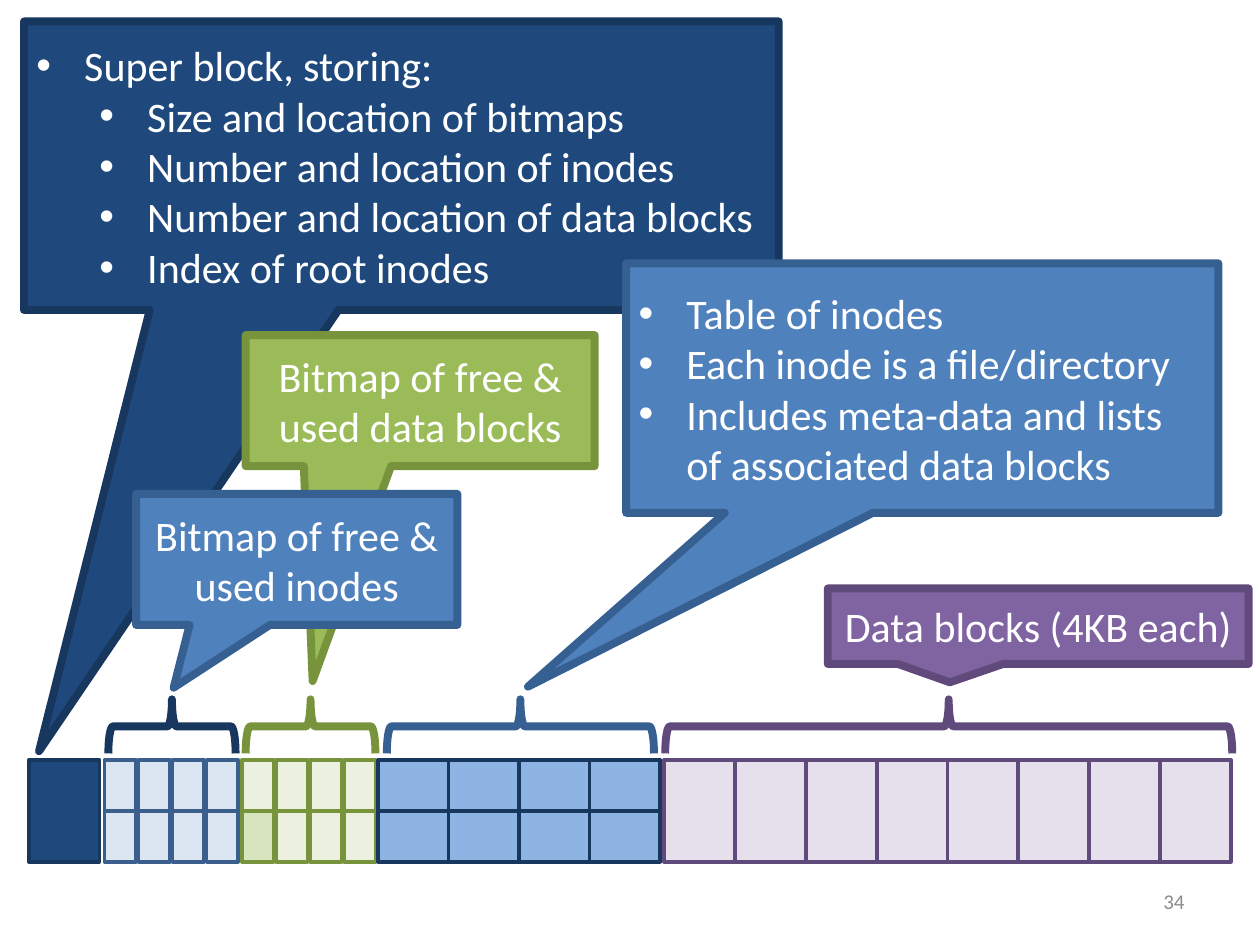
from lxml.etree import SubElement
from pptx import Presentation
from pptx.dml.color import RGBColor
from pptx.enum.shapes import MSO_SHAPE as Shape
from pptx.enum.text import MSO_ANCHOR as Anchor, PP_ALIGN as Align
from pptx.oxml.ns import qn
from pptx.util import Inches, Pt

WHITE = RGBColor(0xFF, 0xFF, 0xFF)
GRAY = RGBColor(0x8C, 0x8C, 0x8C)
NAVY = RGBColor(0x1F, 0x49, 0x7D)
DARK_NAVY = RGBColor(0x17, 0x37, 0x5E)
BLUE = RGBColor(0x4F, 0x81, 0xBD)
DARK_BLUE = RGBColor(0x37, 0x60, 0x92)
EDGE_BLUE = RGBColor(0x3A, 0x5F, 0x8C)
MID_BLUE = RGBColor(0x8E, 0xB4, 0xE3)
PALE_BLUE = RGBColor(0xDC, 0xE6, 0xF2)
GREEN = RGBColor(0x9B, 0xBB, 0x59)
DARK_GREEN = RGBColor(0x77, 0x93, 0x3C)
LIGHT_GREEN = RGBColor(0xD7, 0xE4, 0xBD)
PALE_GREEN = RGBColor(0xEB, 0xF1, 0xDE)
PURPLE = RGBColor(0x80, 0x64, 0xA2)
DARK_PURPLE = RGBColor(0x60, 0x4A, 0x7B)
PALE_PURPLE = RGBColor(0xE6, 0xE0, 0xEC)

# Disk regions: left, columns, rows, column pitch, cell width, fill, line
DISK_TOP, DISK_HEIGHT = 6.03, 0.81
REGIONS = [
    (0.83, 4, 2, 0.27, 0.25, PALE_BLUE, EDGE_BLUE),
    (1.92, 4, 2, 0.27, 0.25, PALE_GREEN, DARK_GREEN),
    (3.0, 4, 2, 0.56, 0.56, MID_BLUE, DARK_NAVY),
    (5.27, 8, 1, 0.563, 0.56, PALE_PURPLE, DARK_PURPLE),
    (0.23, 1, 1, 0.56, 0.56, NAVY, DARK_NAVY),
]
SHADED_CELLS = {(1.92, 1, 0): LIGHT_GREEN}  # region left, row, column

# Braces above the regions: left, width, line
BRACE_TOP, BRACE_HEIGHT = 5.55, 0.43
BRACES = [
    (1.95, 1.03, DARK_GREEN),
    (5.28, 4.5, DARK_PURPLE),
    (3.07, 2.12, DARK_BLUE),
    (0.86, 1.01, DARK_NAVY),
]

# Callouts, back to front: box, pointer, fill, line, bulleted, (level, text)
CALLOUTS = [
    ((0.19, 0.17, 5.99, 2.29), (-0.48, 2.029), NAVY, DARK_NAVY, True, [
        (0, "Super block, storing:"),
        (1, "Size and location of bitmaps"),
        (1, "Number and location of inodes"),
        (1, "Number and location of data blocks"),
        (1, "Index of root inodes")]),
    ((6.57, 4.67, 3.34, 0.6), (-0.21, 0.743), PURPLE, DARK_PURPLE, False, [
        (0, "Data blocks (4KB each)")]),
    ((1.95, 2.66, 2.77, 1.04), (-0.308, 2.14), GREEN, DARK_GREEN, False, [
        (0, "Bitmap of free & used data blocks")]),
    ((4.97, 2.09, 4.7, 1.98), (-0.666, 1.197), BLUE, DARK_BLUE, True, [
        (0, "Table of inodes"),
        (0, "Each inode is a file/directory"),
        (0, "Includes meta-data and lists of associated data blocks")]),
    ((1.08, 3.92, 2.55, 1.04), (-0.383, 0.979), BLUE, DARK_BLUE, False, [
        (0, "Bitmap of free & used inodes")]),
]

prs = Presentation()
prs.slide_width, prs.slide_height = Inches(10), Inches(7.5)
slide = prs.slides.add_slide(prs.slide_layouts[6])


def add_shape(kind, box, line, weight, fill=None):
    shape = slide.shapes.add_shape(kind, *map(Inches, box))
    shape.shadow.inherit = False
    if fill is None:
        shape.fill.background()
    else:
        shape.fill.solid()
        shape.fill.fore_color.rgb = fill
    shape.line.color.rgb = line
    shape.line.width = Pt(weight)
    return shape


def add_bullet(paragraph, level):
    props = paragraph._p.get_or_add_pPr()
    props.set("marL", str(Inches(0.38 + 0.5 * level)))
    props.set("indent", str(Inches(-0.38)))
    SubElement(props, qn("a:buFont"), typeface="Arial")
    SubElement(props, qn("a:buChar"), char="•")


def write(shape, lines, size=24, color=WHITE, align=Align.CENTER, bulleted=False):
    frame = shape.text_frame
    frame.word_wrap = True
    frame.vertical_anchor = Anchor.MIDDLE
    for i, (level, text) in enumerate(lines):
        paragraph = frame.add_paragraph() if i else frame.paragraphs[0]
        paragraph.alignment = align
        paragraph.level = level
        if bulleted:
            add_bullet(paragraph, level)
        run = paragraph.add_run()
        run.text = text
        run.font.name = "Calibri"
        run.font.size = Pt(size)
        run.font.color.rgb = color


# Slide number
page_number = slide.shapes.add_textbox(*map(Inches, (7.17, 6.95, 2.33, 0.4)))
write(page_number, [(0, "34")], size=12, color=GRAY, align=Align.RIGHT)

# Disk layout
for left, columns, rows, pitch, width, fill, line in REGIONS:
    height = DISK_HEIGHT / rows
    for row in range(rows):
        for column in range(columns):
            box = (left + column * pitch, DISK_TOP + row * height, width, height)
            cell_fill = SHADED_CELLS.get((left, row, column), fill)
            add_shape(Shape.RECTANGLE, box, line, 2, cell_fill)

# Braces: upright shapes turned about their centre
for left, width, line in BRACES:
    shift = (width - BRACE_HEIGHT) / 2
    box = (left + shift, BRACE_TOP - shift, BRACE_HEIGHT, width)
    add_shape(Shape.RIGHT_BRACE, box, line, 4.5).rotation = 270

# Callouts
for box, pointer, fill, line, bulleted, lines in CALLOUTS:
    callout = add_shape(Shape.RECTANGULAR_CALLOUT, box, line, 4.5, fill)
    callout.adjustments[0], callout.adjustments[1] = pointer
    write(callout, lines, bulleted=bulleted,
          align=Align.LEFT if bulleted else Align.CENTER)

prs.save("out.pptx")
